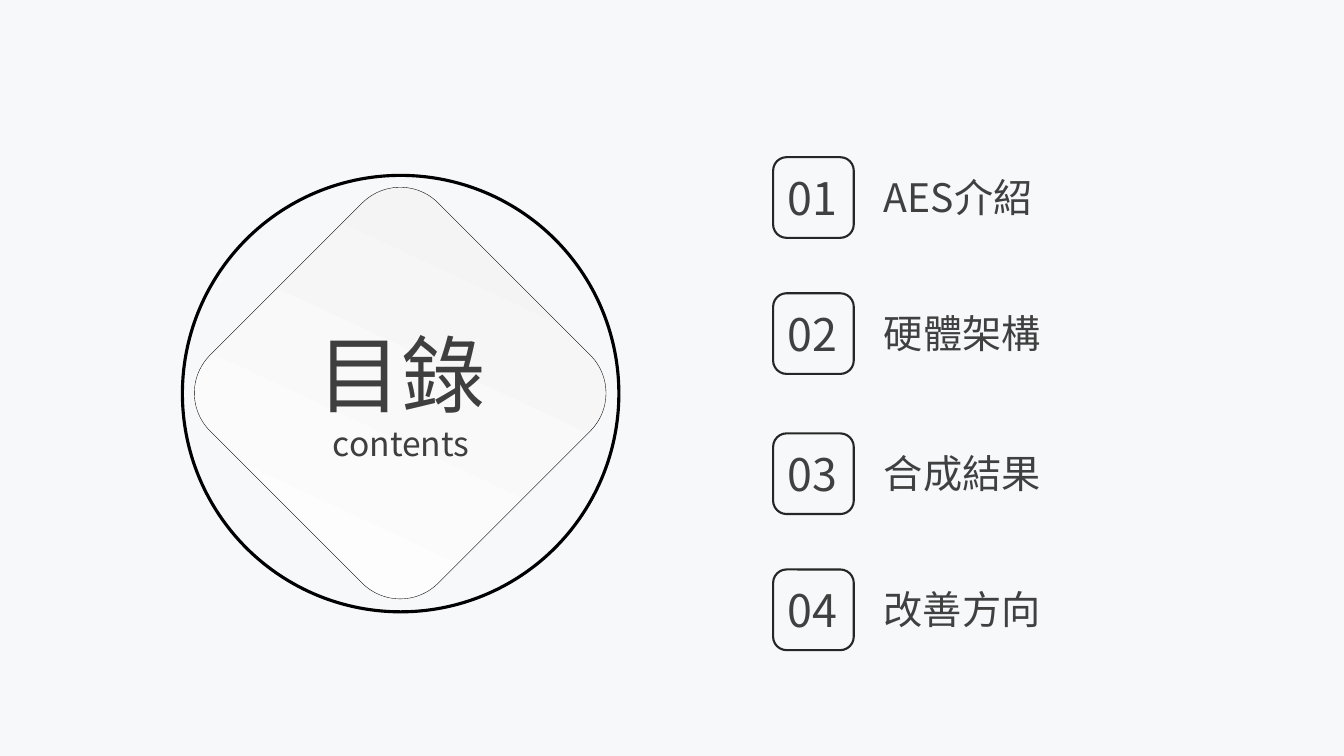
from lxml.etree import SubElement
from pptx import Presentation
from pptx.dml.color import RGBColor
from pptx.enum.shapes import MSO_SHAPE
from pptx.enum.text import MSO_AUTO_SIZE, PP_ALIGN
from pptx.oxml.ns import qn
from pptx.util import Inches, Pt

FONT = "Noto Sans CJK SC"
CELL = Inches(0.1)
COLS, ROWS = 133.33, 75
TOPICS = [
    (15.6, "AES介紹", 31.6),
    (29.1, "硬體架構", 39.5),
    (43, "合成結果", 42.9),
    (56.5, "改善方向", 31.6),
]


def tint(code):
    return RGBColor.from_string(code)


def grid(*cells):
    return [round(cell * CELL) for cell in cells]


def draw(shapes, kind, place, fill=None, line=None, width=0):
    shape = shapes.add_shape(kind, *grid(*place))
    shape.shadow.inherit = False
    if fill:
        shape.fill.solid()
        shape.fill.fore_color.rgb = tint(fill)
    else:
        shape.fill.background()
    if line:
        shape.line.color.rgb = tint(line)
        shape.line.width = Pt(width)
    else:
        shape.line.fill.background()
    return shape


def write(shapes, place, lines, color, align=PP_ALIGN.CENTER, wrap=False):
    frame = shapes.add_textbox(*grid(*place)).text_frame
    frame.word_wrap = wrap
    frame.auto_size = MSO_AUTO_SIZE.SHAPE_TO_FIT_TEXT
    frame.text = "\n".join(text for text, size in lines)
    for para, (text, size) in zip(frame.paragraphs, lines):
        para.alignment = align
        font = para.font
        font.size = Pt(size)
        font.color.rgb = tint(color)
        font.name = FONT
        SubElement(font._element, qn("a:ea"), typeface=FONT)


def emblem(shapes):
    tile = draw(shapes, MSO_SHAPE.ROUNDED_RECTANGLE, (23.7, 23, 32, 32),
                line="000000", width=0.25)
    tile.rotation = 45
    tile.fill.gradient()
    tile.fill.gradient_angle = 110
    for stop, code in zip(tile.fill.gradient_stops, ("FFFFFF", "F2F2F2")):
        stop.color.rgb = tint(code)
    draw(shapes, MSO_SHAPE.OVAL, (18.1, 17.4, 43.3, 43.3),
         line="000000", width=2.25)
    write(shapes, (30.3, 31.5, 19, 15.1),
          [("目錄", 60), ("contents", 24)], "3F3F3F")


def topic(shapes, index, top, title, width):
    badge = shapes.add_group_shape().shapes
    draw(badge, MSO_SHAPE.ROUNDED_RECTANGLE, (76.7, top, 8, 8),
         line="262626", width=1.5)
    write(badge, (77, top + 0.8, 7.2, 6.4), [(f"{index:02}", 32)], "404040")
    write(shapes, (86.7, top + 1.1, width, 5.7), [(title, 28)], "404040",
          PP_ALIGN.LEFT, True)


def main():
    deck = Presentation()
    deck.slide_width, deck.slide_height = grid(COLS, ROWS)
    shapes = deck.slides.add_slide(deck.slide_layouts[6]).shapes
    draw(shapes, MSO_SHAPE.RECTANGLE, (0, 0, COLS, ROWS), "F7F8FA")
    emblem(shapes)
    for index, row in enumerate(TOPICS, 1):
        topic(shapes, index, *row)
    deck.save("out.pptx")


if __name__ == "__main__":
    main()
